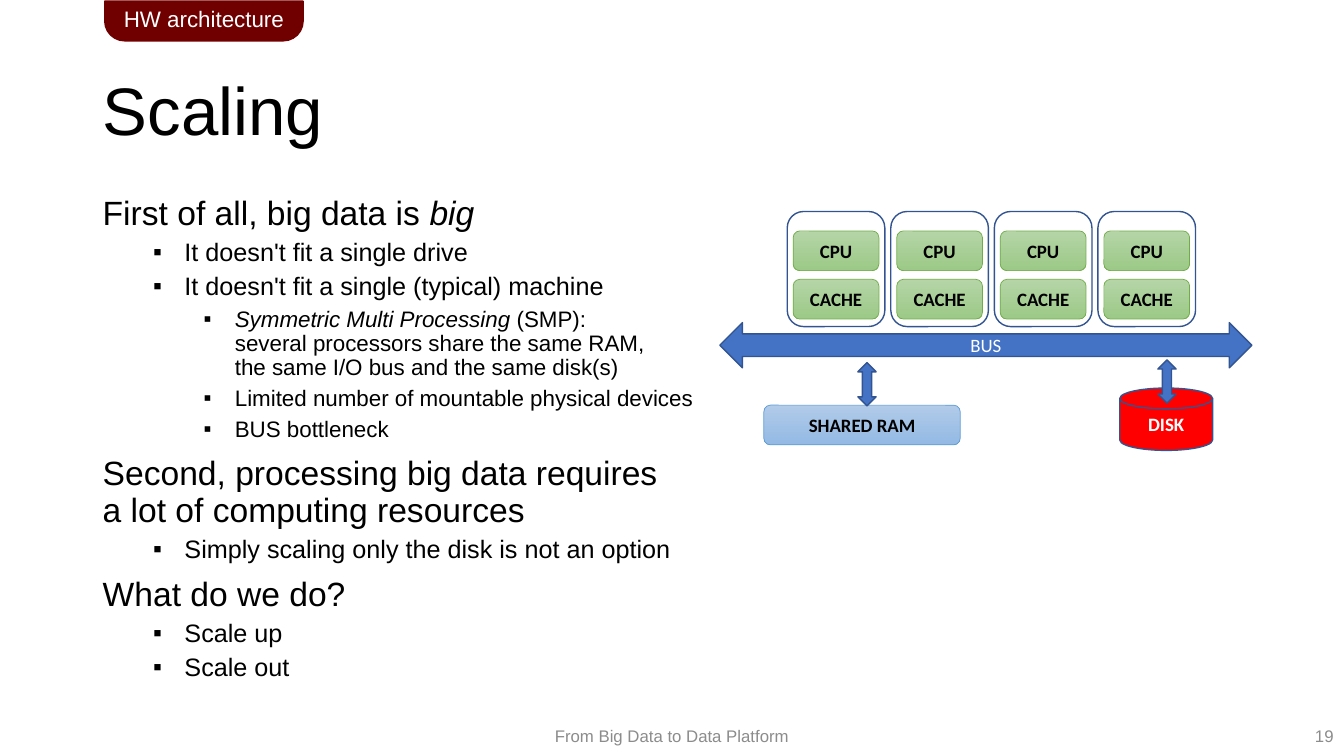
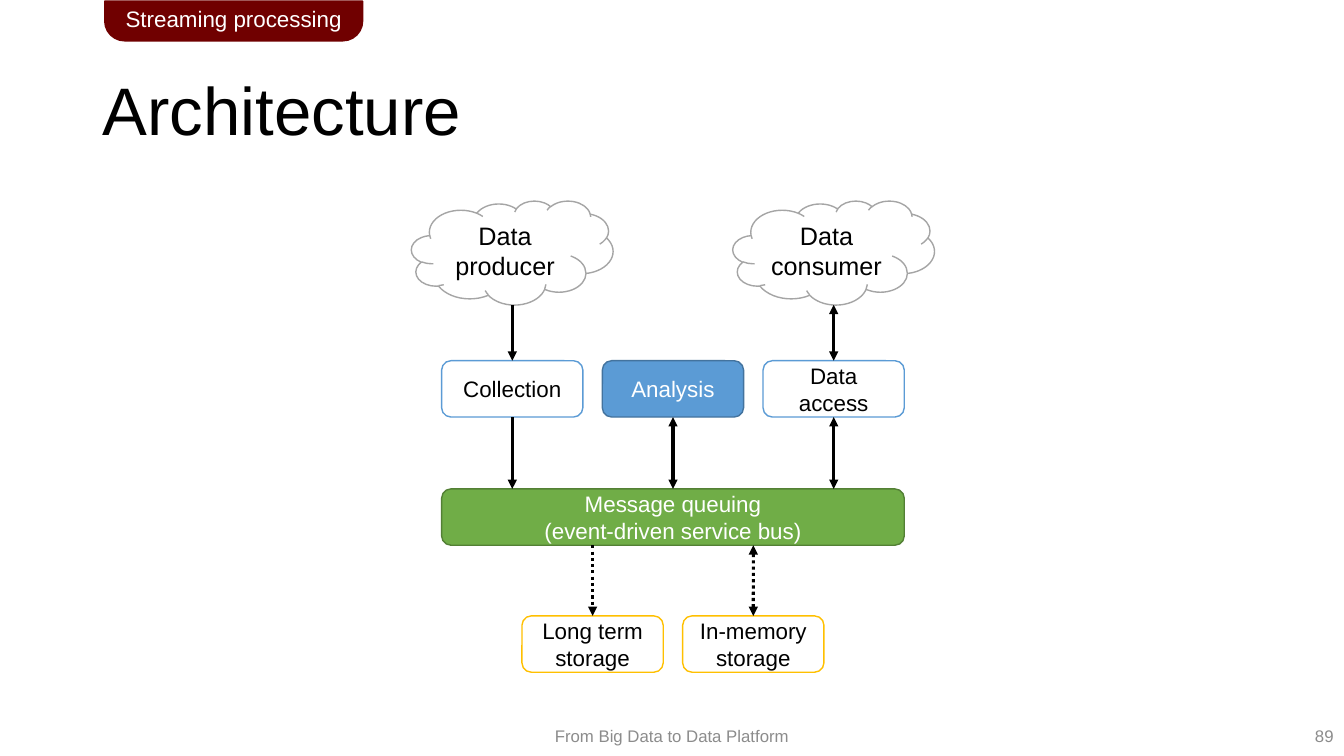
"""Build two slides on hardware scaling and streaming architecture."""
import lxml.etree
import pptx
import pptx.dml.color
import pptx.enum.dml
import pptx.enum.shapes
import pptx.enum.text
import pptx.oxml.ns
import pptx.util

Cm = pptx.util.Cm
Pt = pptx.util.Pt
RGBColor = pptx.dml.color.RGBColor
SHAPE = pptx.enum.shapes.MSO_SHAPE
ALIGN = pptx.enum.text.PP_ALIGN
ANCHOR = pptx.enum.text.MSO_ANCHOR
qn = pptx.oxml.ns.qn

BLACK = RGBColor(0x00, 0x00, 0x00)
WHITE = RGBColor(0xFF, 0xFF, 0xFF)
GRAY = RGBColor(0x8C, 0x8C, 0x8C)
CLOUD_GRAY = RGBColor(0xA5, 0xA5, 0xA5)
MAROON = RGBColor(0x70, 0x00, 0x00)
RED = RGBColor(0xFF, 0x00, 0x00)
BLUE = RGBColor(0x44, 0x72, 0xC4)
NAVY = RGBColor(0x32, 0x54, 0x91)
SKY = RGBColor(0x5B, 0x9B, 0xD5)
STEEL = RGBColor(0x43, 0x73, 0x9E)
GREEN = RGBColor(0x70, 0xAD, 0x47)
DARK_GREEN = RGBColor(0x53, 0x80, 0x35)
GOLD = RGBColor(0xFF, 0xC0, 0x00)
GREEN_FADE = (RGBColor(0xB5, 0xD5, 0xA7), RGBColor(0x9C, 0xC9, 0x87))
BLUE_FADE = (RGBColor(0xB1, 0xCB, 0xE9), RGBColor(0x93, 0xB9, 0xE4))

TITLE_FONT = {"name": "Arial", "size": Pt(48)}
FOOTER_FONT = {"name": "Arial", "size": Pt(12)}
LABEL_FONT = {"name": "Arial", "size": Pt(16)}
CLOUD_FONT = {"name": "Arial", "size": Pt(18)}
BUS_FONT = {"name": "Calibri", "size": Pt(13.5)}
HARDWARE_FONT = {**BUS_FONT, "bold": True}

LEVEL_SIZES = (24, 18, 16)
LEVEL_INDENTS = (0, 2.06, 3.33)
HANGING = 0.79

SCALING_POINTS = [
    (0, [("First of all, big data is ", False), ("big", True)]),
    (1, [("It doesn't fit a single drive", False)]),
    (1, [("It doesn't fit a single (typical) machine", False)]),
    (2, [("Symmetric Multi Processing", True),
         (" (SMP):\nseveral processors share the same RAM,"
          "\nthe same I/O bus and the same disk(s)", False)]),
    (2, [("Limited number of mountable physical devices", False)]),
    (2, [("BUS bottleneck", False)]),
    (0, [("Second, processing big data requires\na lot of computing resources", False)]),
    (1, [("Simply scaling only the disk is not an option", False)]),
    (0, [("What do we do?", False)]),
    (1, [("Scale up", False)]),
    (1, [("Scale out", False)]),
]


def apply_format(target, values):
    """Set every named attribute on the target."""
    for name, value in values.items():
        setattr(target, name, value)


def add_run(paragraph, text, font, color):
    """Add text to a paragraph, turning newlines into line breaks."""
    for index, line in enumerate(text.split("\n")):
        if index:
            paragraph.add_line_break()
        run = paragraph.add_run()
        run.text = line
        apply_format(run.font, font)
        run.font.color.rgb = color


def add_text(slide, box, text, font, color, **layout):
    """Add a wrapped, vertically centred text box with one paragraph."""
    frame = slide.shapes.add_textbox(*map(Cm, box)).text_frame
    apply_format(frame, {"word_wrap": True, "vertical_anchor": ANCHOR.MIDDLE})
    apply_format(frame.paragraphs[0], layout)
    add_run(frame.paragraphs[0], text, font, color)


def add_block(slide, kind, box, fill, outline, text="", font=LABEL_FONT,
              color=WHITE, weight=1):
    """Add a preset shape with a plain, fading or empty fill and a centred label."""
    block = slide.shapes.add_shape(kind, *map(Cm, box))
    block.shadow.inherit = False
    if fill is None:
        block.fill.background()
    elif isinstance(fill, RGBColor):
        block.fill.solid()
        block.fill.fore_color.rgb = fill
    else:
        block.fill.gradient()
        block.fill.gradient_angle = 270
        for stop, shade, position in zip(block.fill.gradient_stops, fill, (0, 1)):
            stop.color.rgb = shade
            stop.position = position
    block.line.color.rgb = outline
    block.line.width = Pt(weight)
    for index, line in enumerate(text.split("\n") if text else []):
        frame = block.text_frame
        paragraph = frame.add_paragraph() if index else frame.paragraphs[0]
        paragraph.alignment = ALIGN.CENTER
        add_run(paragraph, line, font, color)
    return block


def add_arrow(slide, start, end, source=None, target=None, both=False, dotted=False):
    """Add a straight arrow, joined at a source's bottom or a target's top if given."""
    arrow = slide.shapes.add_connector(
        pptx.enum.shapes.MSO_CONNECTOR.STRAIGHT, *map(Cm, (*start, *end)))
    if source:
        arrow.begin_connect(source, 2)
    if target:
        arrow.end_connect(target, 0)
    arrow.line.color.rgb = BLACK
    arrow.line.width = Pt(2.25)
    if dotted:
        arrow.line.dash_style = pptx.enum.dml.MSO_LINE.ROUND_DOT
    properties = arrow.element.spPr
    outline = properties.find(qn("a:ln"))
    for tip in ("a:headEnd", "a:tailEnd") if both else ("a:tailEnd",):
        lxml.etree.SubElement(outline, qn(tip), type="triangle")
    lxml.etree.SubElement(properties, qn("a:effectLst"))


def add_bullet(paragraph, level):
    """Give a paragraph a square bullet and hanging indent."""
    properties = paragraph._p.get_or_add_pPr()
    properties.set("marL", str(Cm(LEVEL_INDENTS[level])))
    properties.set("indent", str(-Cm(HANGING)))
    lxml.etree.SubElement(properties, qn("a:buFont"), typeface="Arial")
    lxml.etree.SubElement(properties, qn("a:buChar"), char="▪")


def add_points(slide, box, points):
    """Add the outline text with its three levels."""
    frame = slide.shapes.add_textbox(*map(Cm, box)).text_frame
    frame.word_wrap = True
    for index, (level, pieces) in enumerate(points):
        paragraph = frame.add_paragraph() if index else frame.paragraphs[0]
        paragraph.level = level
        if level:
            add_bullet(paragraph, level)
        space = 0 if index == 0 else 5 if level else 10
        apply_format(paragraph, {"line_spacing": 0.9, "space_before": Pt(space)})
        for text, italic in pieces:
            font = {"name": "Arial", "size": Pt(LEVEL_SIZES[level]), "italic": italic}
            add_run(paragraph, text, font, BLACK)


def add_base(deck, section, section_width, title, number):
    """Add a slide with its section tab, title, footer and number."""
    slide = deck.slides.add_slide(deck.slide_layouts[6])
    add_text(slide, (12.17, 18.03, 9.53, 1.02), "From Big Data to Data Platform",
             FOOTER_FONT, GRAY, alignment=ALIGN.CENTER)
    add_text(slide, (26.24, 18.03, 7.62, 1.02), number,
             FOOTER_FONT, GRAY, alignment=ALIGN.RIGHT)
    add_text(slide, (2.34, 1.02, 29.21, 3.68), title,
             TITLE_FONT, BLACK, line_spacing=0.9)
    tab = add_block(slide, SHAPE.ROUND_2_SAME_RECTANGLE,
                    (2.64, 0.03, section_width, 1), MAROON, MAROON, section)
    tab.adjustments[0] = 0
    tab.adjustments[1] = 0.5
    return slide


def build_scaling(deck):
    """Build the slide on scaling a shared-memory machine."""
    slide = add_base(deck, "HW architecture", 5, "Scaling", "19")
    add_points(slide, (2.34, 4.82, 29.21, 13.2), SCALING_POINTS)
    for core in range(4):
        left = 19.84 + core * 2.61
        for part, top in (("CPU", 5.82), ("CACHE", 7.04)):
            add_block(slide, SHAPE.ROUNDED_RECTANGLE, (left + 0.15, top, 2.16, 1),
                      GREEN_FADE, GREEN, part, HARDWARE_FONT, BLACK, 0.5)
        add_block(slide, SHAPE.ROUNDED_RECTANGLE, (left, 5.33, 2.46, 2.9), None, NAVY)
    add_block(slide, SHAPE.LEFT_RIGHT_ARROW, (18.14, 8.13, 13.41, 1.14),
              BLUE, NAVY, "BUS", BUS_FONT)
    add_block(slide, SHAPE.ROUNDED_RECTANGLE, (19.25, 10.21, 4.95, 1),
              BLUE_FADE, SKY, "SHARED RAM", HARDWARE_FONT, BLACK, 0.5)
    add_block(slide, SHAPE.FLOWCHART_MAGNETIC_DISK, (28.22, 9.78, 2.34, 1.57),
              RED, NAVY, "DISK", HARDWARE_FONT)
    for left, top in ((21.62, 9.14), (29.18, 9.07)):
        add_block(slide, SHAPE.UP_DOWN_ARROW, (left, top, 0.46, 1.09), BLUE, NAVY)


def build_architecture(deck):
    """Build the slide on the streaming architecture."""
    slide = add_base(deck, "Streaming processing", 6.5, "Architecture", "89")
    left, pitch, width, height = 11.13, 4.05, 3.56, 1.42
    service_top, queue_top, storage_top, cloud_top = 9.09, 12.32, 15.52, 5.06
    cloud_width, cloud_height = 5.08, 2.62

    def center(column):
        """Return the middle of a column."""
        return left + column * pitch + width / 2

    def add_stage(column, top, text, fill, outline, color=BLACK):
        """Add one rounded stage in a column."""
        box = (left + column * pitch, top, width, height)
        return add_block(slide, SHAPE.ROUNDED_RECTANGLE, box, fill, outline,
                         text, color=color)

    add_block(slide, SHAPE.ROUNDED_RECTANGLE,
              (left, queue_top, width + 2 * pitch, height), GREEN, DARK_GREEN,
              "Message queuing\n(event-driven service bus)")
    services = [
        add_stage(0, service_top, "Collection", WHITE, SKY),
        add_stage(1, service_top, "Analysis", SKY, STEEL, WHITE),
        add_stage(2, service_top, "Data access", WHITE, SKY),
    ]
    for column, service in enumerate(services):
        x = center(column)
        add_arrow(slide, (x, service_top + height), (x, queue_top),
                  source=service, both=column > 0)
    for column, text in ((0, "Data producer"), (2, "Data consumer")):
        x = center(column)
        add_block(slide, SHAPE.CLOUD,
                  (x - cloud_width / 2, cloud_top, cloud_width, cloud_height),
                  WHITE, CLOUD_GRAY, text, CLOUD_FONT, BLACK)
        add_arrow(slide, (x, cloud_top + cloud_height), (x, service_top),
                  target=services[column], both=column > 0)
    for column, text, both in ((0.5, "Long term storage", False),
                               (1.5, "In-memory storage", True)):
        storage = add_stage(column, storage_top, text, WHITE, GOLD)
        x = center(column)
        add_arrow(slide, (x, queue_top + height), (x, storage_top),
                  target=storage, both=both, dotted=True)


def main():
    """Build and save the presentation."""
    deck = pptx.Presentation()
    deck.slide_width = Cm(33.87)
    deck.slide_height = Cm(19.05)
    build_scaling(deck)
    build_architecture(deck)
    deck.save("out.pptx")


if __name__ == "__main__":
    main()
